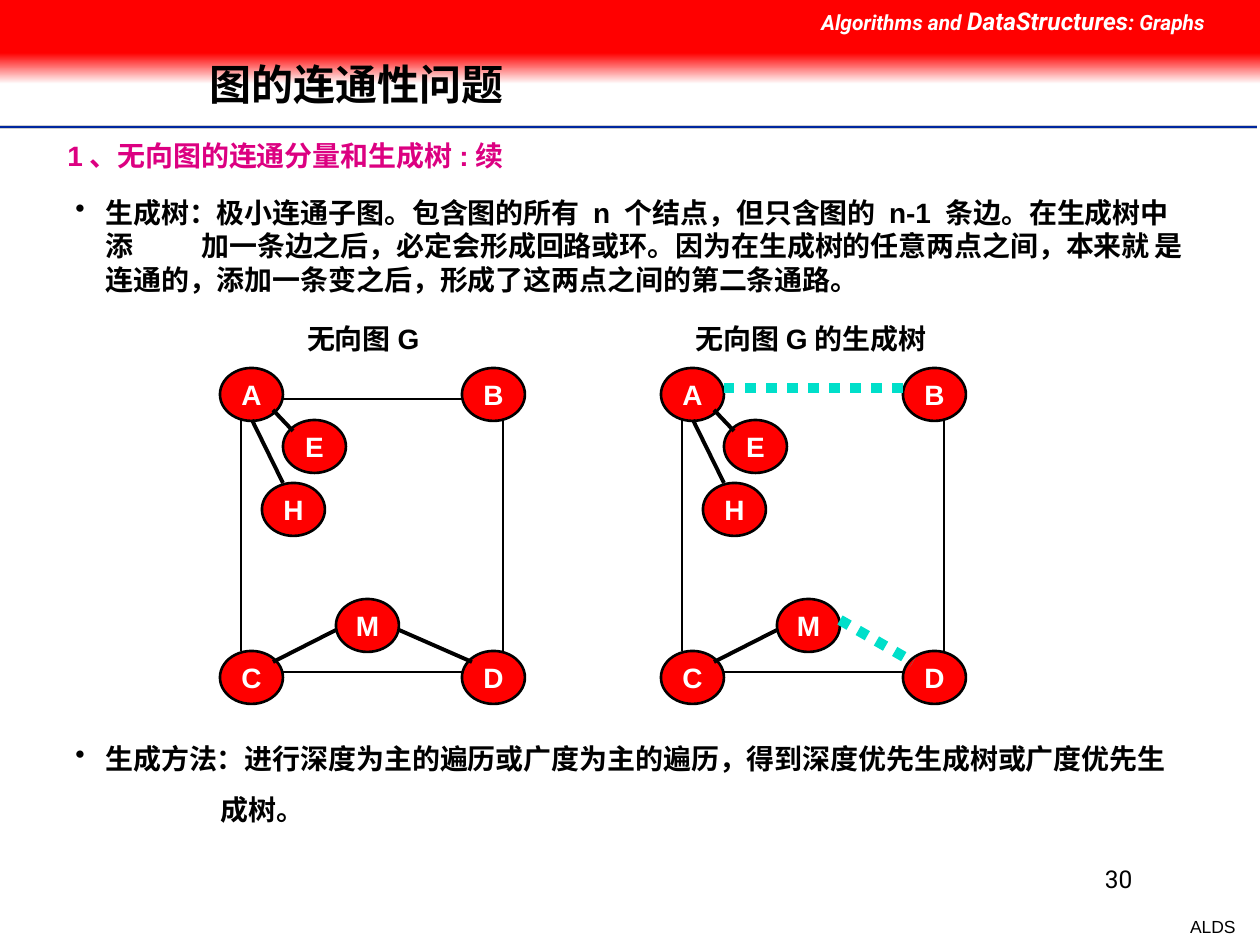
from dataclasses import dataclass

from lxml import etree
from pptx import Presentation
from pptx import util as u
from pptx.dml.color import RGBColor
from pptx.enum import dml, shapes, text
from pptx.oxml.ns import qn

SCALE = 914400 // 126  # EMU per pixel


@dataclass(frozen=True)
class Theme:
    black: str = "000000"
    white: str = "FFFFFF"
    red: str = "FF0000"
    magenta: str = "DC0081"
    cyan: str = "00DFCA"
    blue: str = "00279F"
    grey: str = "CECECE"
    body_font: str = "Arial"
    header_font: str = "Roboto"
    title: int = 24
    body: int = 16
    number: int = 14
    header: int = 12
    small: int = 10
    thin: float = 1.5
    thick: float = 2.25
    dotted: float = 6


THEME = Theme()
GRAPH_TOP = 368
NODE_SIZE = (63, 53)
NODES = {"A": (0, 0), "B": (242, 0), "C": (0, 283), "D": (242, 283),
         "E": (63, 52), "H": (42, 115), "M": (116, 231)}
# Edges as x1, y1, x2, y2 from the graph's corner
EDGES = {"AB": (63, 31, 242, 31), "AC": (21, 52, 21, 283),
         "BD": (283, 52, 283, 283), "CD": (63, 304, 242, 304),
         "MD": (179, 262, 252, 294), "CM": (53, 294, 116, 262),
         "AH": (32, 52, 63, 115), "AE": (53, 42, 73, 63)}
THICK_EDGES = {"MD", "CM", "AH", "AE"}
REMOVED_EDGES = {"MD": (179, 252, 252, 294), "AB": (63, 20, 242, 20)}


def px(value):
    return u.Emu(value * SCALE)


def color(code):
    return RGBColor.from_string(code)


def style_para(para, size, ink=THEME.black, font=THEME.body_font, bold=True,
               align=text.PP_ALIGN.LEFT):
    para.alignment = align
    for span in para.runs:
        span.font.size = u.Pt(size)
        span.font.name = font
        span.font.bold = bold
        span.font.color.rgb = color(ink)


def add_text(page, bounds, words, size=THEME.body, wrap=True, **style):
    box = page.shapes.add_textbox(*map(px, bounds))
    box.text_frame.word_wrap = wrap
    box.text_frame.text = words
    for para in box.text_frame.paragraphs:
        style_para(para, size, **style)
    return box


def set_indent(para, left, first=0):
    props = para._p.get_or_add_pPr()
    props.set("marL", str(px(left)))
    props.set("indent", str(px(first)))
    return props


def add_bullet(para):
    props = set_indent(para, 30, -30)
    ink = etree.SubElement(props, qn("a:buClr"))
    etree.SubElement(ink, qn("a:srgbClr"), val=THEME.black)
    etree.SubElement(props, qn("a:buChar"), char="•")
    stops = etree.SubElement(props, qn("a:tabLst"))
    for inch in range(1, 9):
        etree.SubElement(stops, qn("a:tab"), pos=str(u.Inches(inch)), algn="l")


def add_line(page, ends, ink=THEME.black, width=THEME.thin, dash=None):
    line = page.shapes.add_connector(shapes.MSO_CONNECTOR.STRAIGHT, *map(px, ends))
    line.line.color.rgb = color(ink)
    line.line.width = u.Pt(width)
    if dash:
        line.line.dash_style = dash
    etree.SubElement(line._element.spPr, qn("a:effectLst"))


def add_shape(page, kind, bounds, fill):
    shape = page.shapes.add_shape(kind, *map(px, bounds))
    shape.shadow.inherit = False
    shape.fill.solid()
    shape.fill.fore_color.rgb = color(fill)
    shape.line.fill.background()
    return shape


def add_node(page, left, top, label):
    node = add_shape(page, shapes.MSO_SHAPE.OVAL, (left, top, *NODE_SIZE), THEME.red)
    node.line.color.rgb = color(THEME.black)
    node.line.width = u.Pt(THEME.thin)
    frame = node.text_frame
    frame.word_wrap = False
    frame.vertical_anchor = text.MSO_ANCHOR.MIDDLE
    frame.text = label
    style_para(frame.paragraphs[0], THEME.body, THEME.white,
               align=text.PP_ALIGN.CENTER)


def add_graph(page, left, removed):
    def shift(ends):
        x1, y1, x2, y2 = ends
        return left + x1, GRAPH_TOP + y1, left + x2, GRAPH_TOP + y2

    for label, (x, y) in NODES.items():
        add_node(page, left + x, GRAPH_TOP + y, label)
    for name, ends in EDGES.items():
        if name not in removed:
            width = THEME.thick if name in THICK_EDGES else THEME.thin
            add_line(page, shift(ends), width=width)
    for ends in removed.values():
        add_line(page, shift(ends), THEME.cyan, THEME.dotted,
                 dml.MSO_LINE.ROUND_DOT)


def add_header(page):
    band = add_shape(page, shapes.MSO_SHAPE.RECTANGLE, (0, 53, 1260, 31), THEME.red)
    band.fill.gradient()
    band.fill.gradient_angle = 270
    for stop, ink, position in zip(band.fill.gradient_stops,
                                   (THEME.red, THEME.white), (0, 1)):
        stop.color.rgb = color(ink)
        stop.position = position
    add_shape(page, shapes.MSO_SHAPE.RECTANGLE, (0, 0, 1260, 53), THEME.red)
    for y, ink, width in ((127, THEME.grey, 2), (127, THEME.blue, 1),
                          (130, THEME.white, 1)):
        add_line(page, (0, y, 1257, y), ink, width)
    box = add_text(page, (809, 0, 451, 43), "")
    para = box.text_frame.paragraphs[0]
    for words in ("Algorithms and ", "DataStructures", ": Graphs"):
        para.add_run().text = words
    style_para(para, THEME.header, THEME.white, THEME.header_font)
    for span in para.runs:
        span.font.italic = True
    para.runs[1].font.size = u.Pt(THEME.number)


def add_title(page, words):
    title = page.shapes.title
    title.left, title.top, title.width, title.height = map(px, (197, 40, 951, 93))
    frame = title.text_frame
    frame.text = words
    frame.auto_size = text.MSO_AUTO_SIZE.NONE
    frame.vertical_anchor = text.MSO_ANCHOR.MIDDLE
    frame.paragraphs[0].line_spacing = 0.9
    style_para(frame.paragraphs[0], THEME.title)
    # Bring the title in front of the header band
    title._element.getparent().append(title._element)


def main():
    deck = Presentation()
    deck.slide_width, deck.slide_height = px(1260), px(945)
    page = deck.slides.add_slide(deck.slide_layouts[5])

    # Header and title
    add_header(page)
    add_title(page, "图的连通性问题")

    # Section heading and definition
    heading = add_text(page, (-8, 132, 540, 47), "1、无向图的连通分量和生成树:续",
                       ink=THEME.magenta)
    set_indent(heading.text_frame.paragraphs[0], 63)
    definition = add_text(
        page, (63, 189, 1134, 113),
        "生成树：极小连通子图。包含图的所有 n 个结点，但只含图的 n-1 条边。在生成树中添"
        "\t加一条边之后，必定会形成回路或环。因为在生成树的任意两点之间，本来就"
        "\t是连通的，添加一条变之后，形成了这两点之间的第二条通路。")
    add_bullet(definition.text_frame.paragraphs[0])

    # Graph and its spanning tree
    add_graph(page, 220, {})
    add_graph(page, 661, REMOVED_EDGES)
    for left, width, words in ((283, 168, "无向图G "),
                               (683, 262, "无向图G的生成树 ")):
        add_text(page, (left, 315, width, 47), words, align=text.PP_ALIGN.CENTER)

    # Method
    method = add_text(
        page, (63, 735, 1134, 97),
        "生成方法：进行深度为主的遍历或广度为主的遍历，得到深度优先生成树或广度优先生\n成树。")
    first, second = method.text_frame.paragraphs
    add_bullet(first)
    set_indent(second, 145)
    second.space_before = u.Pt(10)

    # Footer
    add_text(page, (903, 858, 242, 63), "30", THEME.number, bold=False,
             font=THEME.header_font, align=text.PP_ALIGN.RIGHT)
    add_text(page, (1177, 910, 71, 34), "ALDS", THEME.small, wrap=False,
             bold=False, align=text.PP_ALIGN.RIGHT)

    deck.save("out.pptx")


main()
